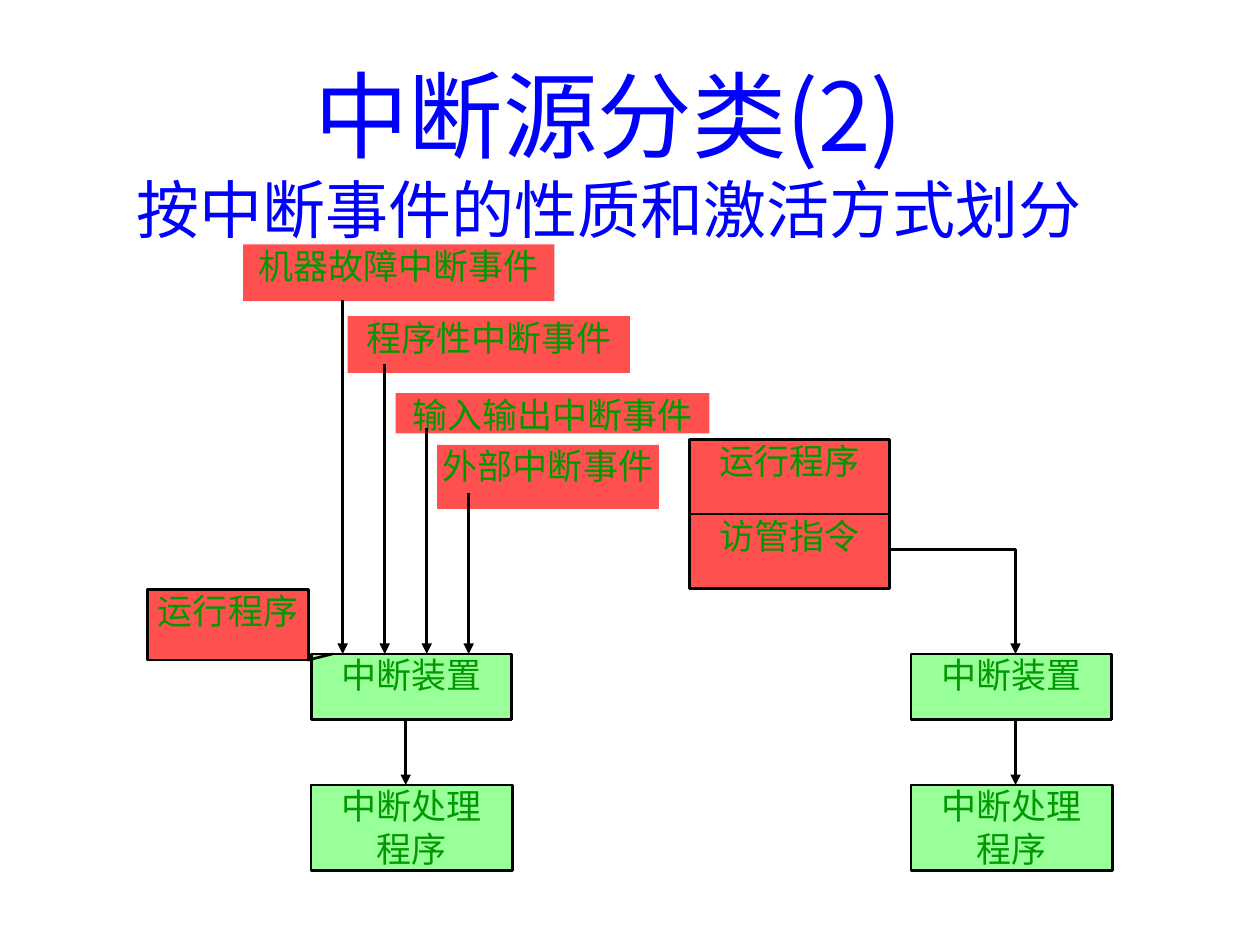
import pptx
import pptx.util
import pptx.dml.color
import pptx.enum.shapes
import pptx.enum.text
import pptx.oxml.ns
import lxml.etree
from dataclasses import dataclass

Inches = pptx.util.Inches
Pt = pptx.util.Pt


@dataclass(frozen=True)
class Theme:
    title_color: str = "0000FF"
    text_color: str = "009900"
    event_fill: str = "FF5050"
    handler_fill: str = "99FF99"
    line_color: str = "000000"
    font: str = "Noto Sans CJK JP"
    subtitle_font: str = "Times New Roman"
    title_size: int = 54
    subtitle_size: int = 36
    label_size: int = 20
    line_width: float = 1.5


def rgb(color):
    return pptx.dml.color.RGBColor.from_string(color)


def add_element(parent, tag, **attributes):
    return lxml.etree.SubElement(parent, pptx.oxml.ns.qn(tag), attributes)


class SlideBuilder:
    def __init__(self, slide, theme):
        self.slide = slide
        self.theme = theme

    def run(self, paragraph, text, size, color, font):
        run = paragraph.add_run()
        run.text = text
        run.font.size = Pt(size)
        run.font.color.rgb = rgb(color)
        run.font.name = font
        # Chinese glyphs take the East Asian typeface
        add_element(run.font._element, "a:ea", typeface=self.theme.font)

    def title(self, left, top, width, height, heading, subtitle):
        theme = self.theme
        box = self.slide.shapes.add_textbox(
            Inches(left), Inches(top), Inches(width), Inches(height))
        frame = box.text_frame
        frame.word_wrap = True
        frame.vertical_anchor = pptx.enum.text.MSO_ANCHOR.MIDDLE
        paragraph = frame.paragraphs[0]
        paragraph.alignment = pptx.enum.text.PP_ALIGN.CENTER
        self.run(paragraph, heading, theme.title_size, theme.title_color, theme.font)
        paragraph.add_line_break()
        self.run(paragraph, subtitle, theme.subtitle_size, theme.title_color,
                 theme.subtitle_font)

    def box(self, left, top, width, height, lines, fill, outlined=True):
        theme = self.theme
        shape = self.slide.shapes.add_shape(
            pptx.enum.shapes.MSO_SHAPE.RECTANGLE,
            Inches(left), Inches(top), Inches(width), Inches(height))
        shape.shadow.inherit = False
        shape.fill.solid()
        shape.fill.fore_color.rgb = rgb(fill)
        if outlined:
            shape.line.color.rgb = rgb(theme.line_color)
            shape.line.width = Pt(theme.line_width)
        else:
            shape.line.fill.background()
        frame = shape.text_frame
        frame.word_wrap = True
        frame.vertical_anchor = pptx.enum.text.MSO_ANCHOR.TOP
        frame.margin_left = frame.margin_right = 0
        frame.margin_top = frame.margin_bottom = 0
        for index, line in enumerate(lines):
            paragraph = frame.add_paragraph() if index else frame.paragraphs[0]
            paragraph.alignment = pptx.enum.text.PP_ALIGN.CENTER
            self.run(paragraph, line, theme.label_size, theme.text_color, theme.font)

    def line(self, start, end, arrow=False):
        connector = self.slide.shapes.add_connector(
            pptx.enum.shapes.MSO_CONNECTOR.STRAIGHT,
            *(Inches(value) for value in (*start, *end)))
        connector.line.color.rgb = rgb(self.theme.line_color)
        connector.line.width = Pt(self.theme.line_width)
        if arrow:
            add_element(connector.line._get_or_add_ln(), "a:tailEnd", type="triangle")
        add_element(connector._element.spPr, "a:effectLst")


def main():
    presentation = pptx.Presentation()
    presentation.slide_width = Inches(10)
    presentation.slide_height = Inches(7.5)
    slide = presentation.slides.add_slide(presentation.slide_layouts[6])
    theme = Theme()
    builder = SlideBuilder(slide, theme)

    builder.title(0.58, 0.58, 8.5, 1.25, "中断源分类(2)",
                  "按中断事件的性质和激活方式划分")

    # Interrupted program on the left
    builder.box(1.17, 4.68, 1.28, 0.56, ["运行程序"], theme.event_fill)

    # Interrupt device and handler, one pair for each side
    device_top, device_height, handler_top = 5.19, 0.52, 6.23
    for left in (2.47, 7.23):
        builder.box(left, handler_top, 1.6, 0.68, ["中断处理", "程序"],
                    theme.handler_fill)
        builder.box(left, device_top, 1.59, device_height, ["中断装置"],
                    theme.handler_fill)

    # Interrupt events
    events = [
        (1.93, 1.94, 2.47, 0.45, "机器故障中断事件"),
        (2.76, 2.51, 2.24, 0.45, "程序性中断事件"),
        (3.47, 3.53, 1.76, 0.51, "外部中断事件"),
        (3.14, 3.12, 2.49, 0.32, "输入输出中断事件"),
    ]
    for left, top, width, height, label in events:
        builder.box(left, top, width, height, [label], theme.event_fill, outlined=False)

    # Evenly stepped arrows from the events to the device
    for index in range(len(events)):
        x = 2.72 + index / 3
        builder.line((x, 2.38 + 0.51 * index), (x, device_top), arrow=True)

    # Running program with its supervisor call
    for index, label in enumerate(["运行程序", "访管指令"]):
        builder.box(5.47, 3.49 + 0.59 * index, 1.59, 0.59, [label], theme.event_fill)

    # Links from program to device to handler
    builder.line((2.64, device_top), (2.44, 5.24))
    for x in (3.22, 8.06):
        builder.line((x, device_top + device_height), (x, handler_top), arrow=True)
    builder.line((8.06, 4.36), (8.06, device_top), arrow=True)
    builder.line((8.06, 4.36), (7.06, 4.36))

    presentation.save("out.pptx")


if __name__ == "__main__":
    main()
